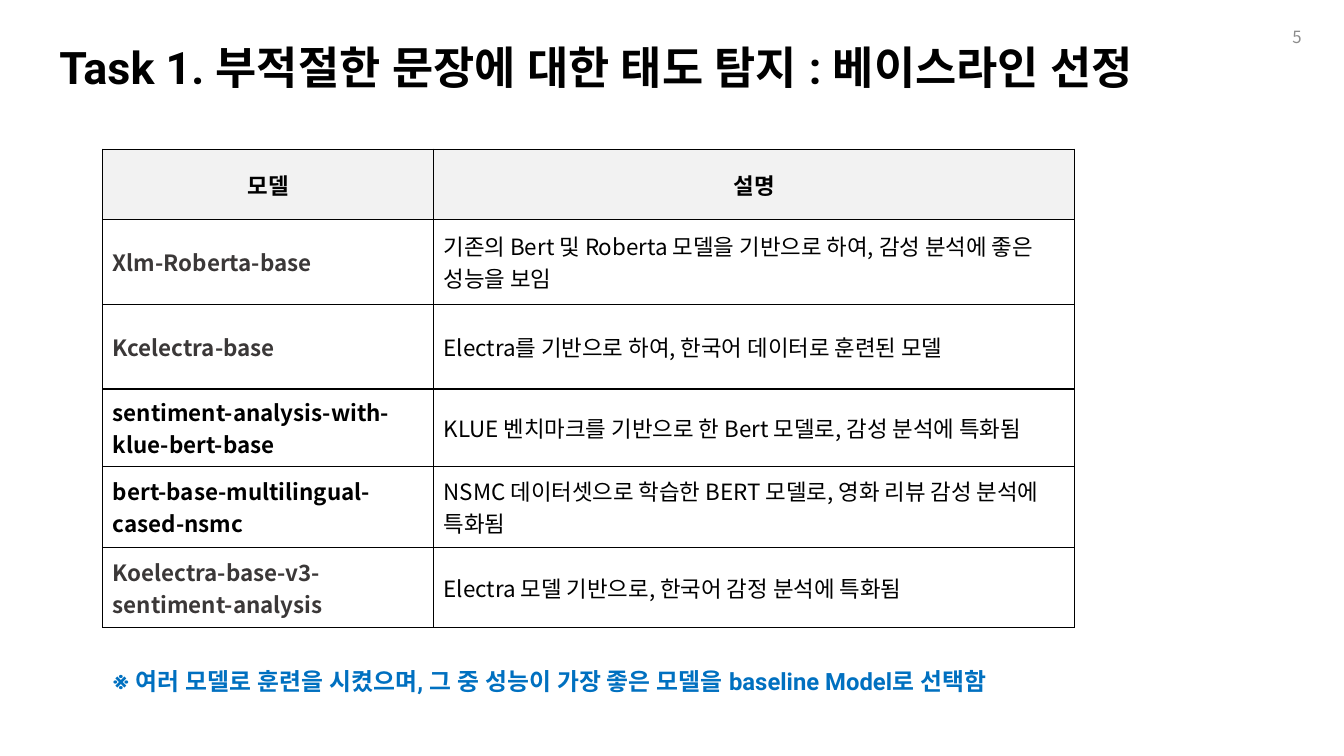
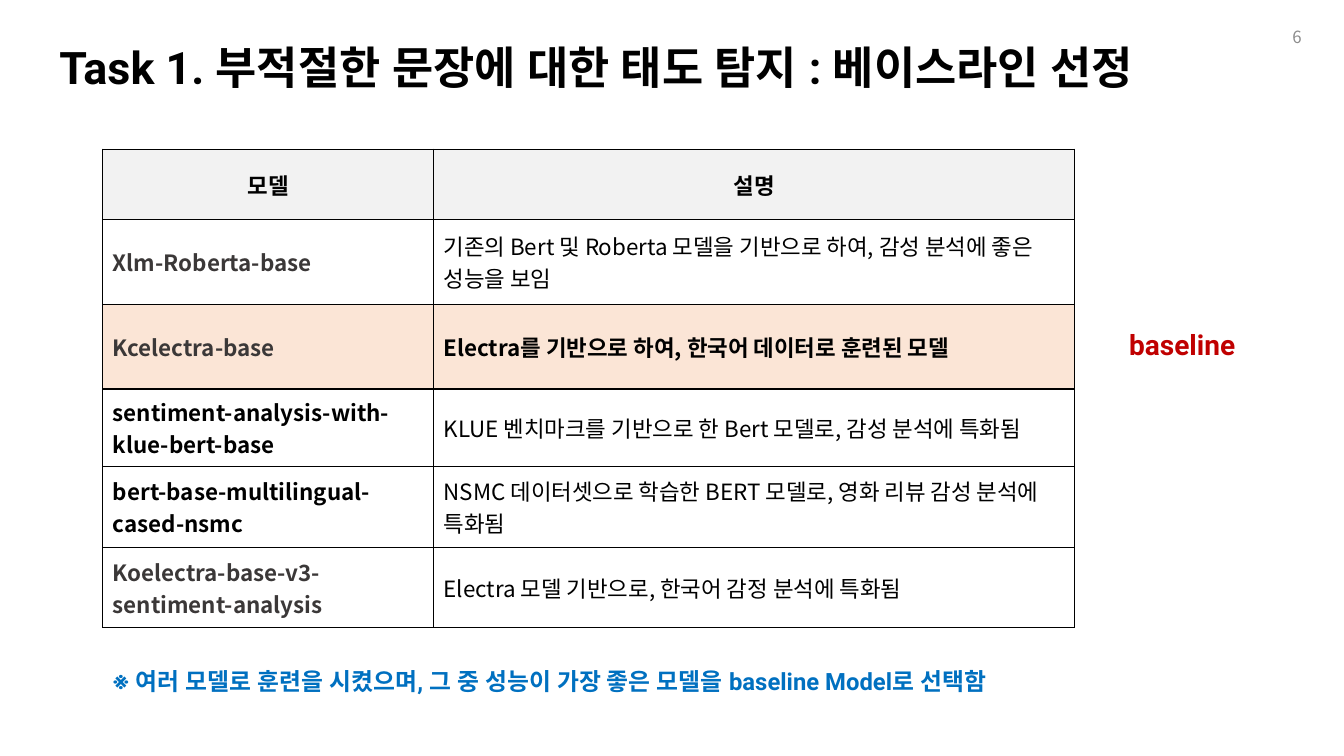
import lxml.etree
import pptx
import pptx.dml.color
import pptx.enum.text
import pptx.oxml.ns
import pptx.util

Inches = pptx.util.Inches
Align = pptx.enum.text.PP_ALIGN
Anchor = pptx.enum.text.MSO_ANCHOR

COLORS = {
    "black": "000000",
    "white": "FFFFFF",
    "charcoal": "3B3838",
    "number": "8C8C8C",
    "header": "F2F2F2",
    "highlight": "FBE5D6",
    "note": "0070C0",
    "baseline": "C00000",
}
HEADING_FONT = "Roboto"
BODY_FONT = "Noto Sans CJK KR"

TITLE = "Task 1. 부적절한 문장에 대한 태도 탐지 : 베이스라인 선정"
NOTE = "※ 여러 모델로 훈련을 시켰으며, 그 중 성능이 가장 좋은 모델을 baseline Model로 선택함"
HEADERS = ("모델", "설명")
# Model name, name colour, description
MODELS = [
    ("Xlm-Roberta-base", "charcoal",
     "기존의 Bert 및 Roberta 모델을 기반으로 하여, 감성 분석에 좋은 성능을 보임"),
    ("Kcelectra-base", "charcoal",
     "Electra를 기반으로 하여, 한국어 데이터로 훈련된 모델"),
    ("sentiment-analysis-with-klue-bert-base", "black",
     "KLUE 벤치마크를 기반으로 한 Bert 모델로, 감성 분석에 특화됨"),
    ("bert-base-multilingual-cased-nsmc", "black",
     "NSMC 데이터셋으로 학습한 BERT 모델로, 영화 리뷰 감성 분석에 특화됨"),
    ("Koelectra-base-v3-sentiment-analysis", "charcoal",
     "Electra 모델 기반으로, 한국어 감정 분석에 특화됨"),
]

# Boxes: left, top, width, height in inches
TITLE_BOX = (0.49, 0.37, 12.58, 0.65)
NUMBER_BOX = (10.01, 0.17, 3, 0.4)
TABLE_BOX = (1.02, 1.48, 9.64, 4.75)
NOTE_BOX = (1.02, 6.52, 9.64, 0.53)
COLUMN_WIDTHS = (3.28, 6.36)
ROW_HEIGHTS = (0.7, 0.84, 0.84, 0.77, 0.8, 0.8)


def rgb(name):
    return pptx.dml.color.RGBColor.from_string(COLORS[name])


def write_text(frame, text, size=16, font=BODY_FONT, color="black", bold=False,
               align=Align.LEFT, spacing=1.0):
    frame.word_wrap = True
    paragraph = frame.paragraphs[0]
    paragraph.alignment = align
    paragraph.line_spacing = spacing
    run = paragraph.add_run()
    run.text = text
    run.font.size = pptx.util.Pt(size)
    run.font.bold = bold
    run.font.color.rgb = rgb(color)
    run.font.name = font
    east_asian = lxml.etree.SubElement(run.font._element, pptx.oxml.ns.qn("a:ea"))
    east_asian.set("typeface", font)


def add_text(slide, box, text, **text_format):
    shape = slide.shapes.add_textbox(*map(Inches, box))
    shape.text_frame.vertical_anchor = Anchor.MIDDLE
    write_text(shape.text_frame, text, **text_format)


def add_borders(cell, color="black", width=1):
    properties = cell._tc.get_or_add_tcPr()
    for side in ("lnL", "lnR", "lnT", "lnB"):
        line = lxml.etree.SubElement(properties, pptx.oxml.ns.qn(f"a:{side}"),
                                     w=str(pptx.util.Pt(width)))
        fill = lxml.etree.SubElement(line, pptx.oxml.ns.qn("a:solidFill"))
        lxml.etree.SubElement(fill, pptx.oxml.ns.qn("a:srgbClr"), val=COLORS[color])


def fill_cell(cell, text, fill, **text_format):
    add_borders(cell)
    cell.fill.solid()
    cell.fill.fore_color.rgb = rgb(fill)
    cell.vertical_anchor = Anchor.MIDDLE
    write_text(cell.text_frame, text, **text_format)


def add_model_table(slide, box, chosen):
    table = slide.shapes.add_table(len(ROW_HEIGHTS), len(COLUMN_WIDTHS),
                                   *map(Inches, box)).table
    table.first_row = table.horz_banding = False
    for column, width in zip(table.columns, COLUMN_WIDTHS):
        column.width = Inches(width)
    for row, height in zip(table.rows, ROW_HEIGHTS):
        row.height = Inches(height)
    for index, header in enumerate(HEADERS):
        fill_cell(table.cell(0, index), header, "header", bold=True, align=Align.CENTER)
    for index, (model, color, description) in enumerate(MODELS, start=1):
        is_chosen = model == chosen
        fill = "highlight" if is_chosen else "white"
        fill_cell(table.cell(index, 0), model, fill, color=color, bold=True)
        fill_cell(table.cell(index, 1), description, fill, bold=is_chosen)


def add_baseline_label(slide, table_box, chosen):
    # Centred beside the chosen row
    left, top, width, _ = table_box
    row = 1 + [model for model, _, _ in MODELS].index(chosen)
    middle = top + sum(ROW_HEIGHTS[:row]) + ROW_HEIGHTS[row] / 2
    height = 0.53
    add_text(slide, (left + width + 0.44, middle - height / 2, 1.41, height), "baseline",
             size=20, font=HEADING_FONT, color="baseline", bold=True, spacing=0.9)


def add_model_slide(presentation, number, chosen=None):
    slide = presentation.slides.add_slide(presentation.slide_layouts[6])
    # Title, note and page number
    add_text(slide, TITLE_BOX, TITLE, size=32, font=HEADING_FONT, bold=True, spacing=0.9)
    add_text(slide, NOTE_BOX, NOTE, size=17, font=HEADING_FONT, color="note", bold=True,
             spacing=0.8)
    add_text(slide, NUMBER_BOX, str(number), size=12, color="number", align=Align.RIGHT)
    # Models, with the chosen one marked
    add_model_table(slide, TABLE_BOX, chosen)
    if chosen:
        add_baseline_label(slide, TABLE_BOX, chosen)


def main():
    presentation = pptx.Presentation()
    presentation.slide_width = Inches(13.33)
    presentation.slide_height = Inches(7.5)
    add_model_slide(presentation, 5)
    add_model_slide(presentation, 6, chosen="Kcelectra-base")
    presentation.save("out.pptx")


if __name__ == "__main__":
    main()
